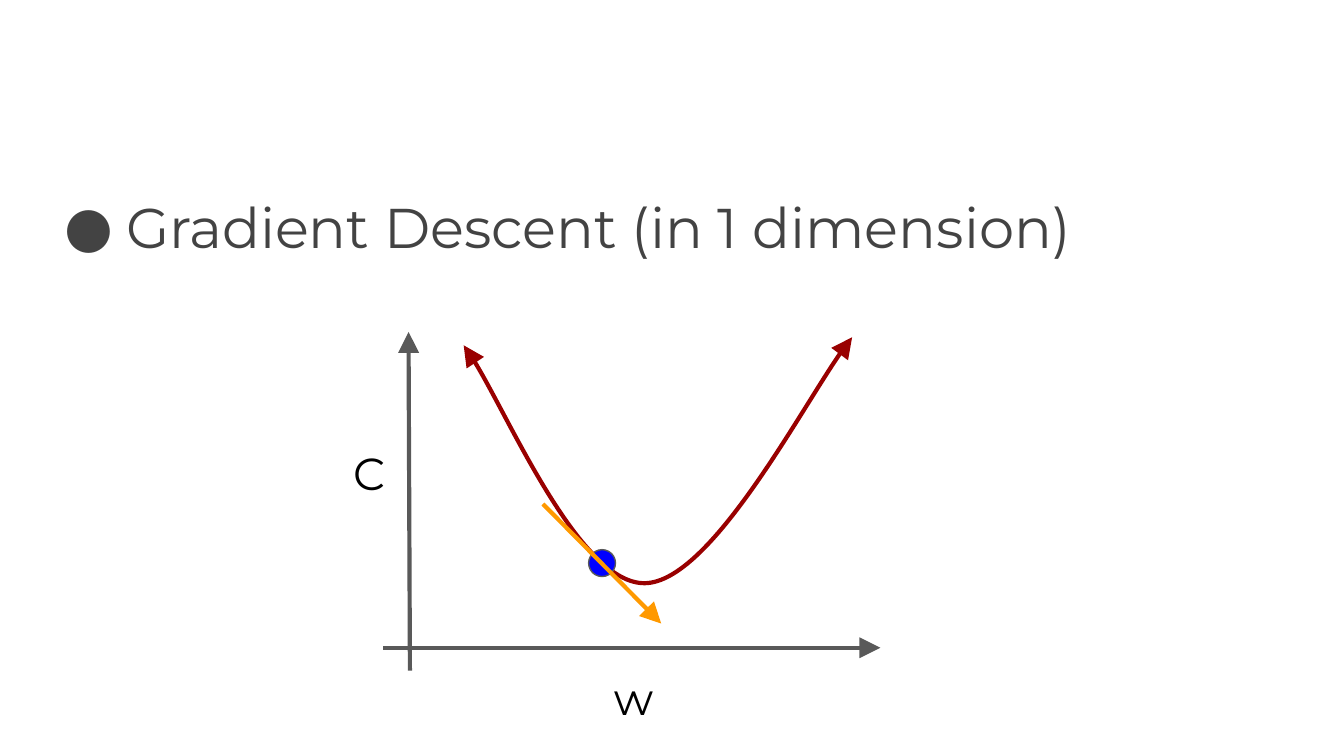
from lxml.etree import SubElement
from pptx import Presentation
from pptx.dml.color import RGBColor
from pptx.enum.shapes import MSO_CONNECTOR, MSO_SHAPE
from pptx.oxml.ns import qn
from pptx.util import Inches, Pt

# Content
FONT = "Montserrat"
GREY, RED, BLUE, ORANGE = "595959", "990000", "0000FF", "FF9900"
HEADING = ("Gradient Descent (in 1 dimension)", (0.34, 1.26, 9.32, 3.74), 30, "434343")
AXIS_LABELS = [
    ("w", (4.47, 4.89, 0.66, 0.46), 24, "000000"),
    ("C", (2.53, 3.22, 0.42, 0.46), 24, "000000"),
]
AXES = [((3.05, 4.99), (3.04, 2.47)), ((2.85, 4.82), (6.55, 4.82))]
TANGENT = ((4.04, 3.75), (4.92, 4.64))
POINT = (4.38, 4.09, 0.2, 0.2)

# Cost curve: a start, then two Bezier pieces (control, control, end)
CURVE_START = (3.45, 2.57)
CURVE_PIECES = [
    ((3.68, 2.86), (4.32, 4.35), (4.8, 4.34)),
    ((5.28, 4.33), (6.08, 2.82), (6.34, 2.51)),
]
UNITS = 1000  # curve units per inch


def color(value):
    return RGBColor.from_string(value)


def add_text(page, text, place, size, text_color):
    box = page.shapes.add_textbox(*map(Inches, place))
    frame = box.text_frame
    frame.word_wrap = True
    frame.margin_left = frame.margin_right = Inches(0.1)
    frame.margin_top = frame.margin_bottom = Inches(0.1)
    para = frame.paragraphs[0]
    span = para.add_run()
    span.text = text
    span.font.name = FONT
    span.font.size = Pt(size)
    span.font.color.rgb = color(text_color)
    return para


def add_bullet(para, bullet_color):
    props = para._p.get_or_add_pPr()
    props.set("marL", str(Inches(0.5)))
    props.set("indent", str(Inches(-0.46)))
    fill = SubElement(props, qn("a:buClr"))
    SubElement(fill, qn("a:srgbClr"), val=bullet_color)
    SubElement(props, qn("a:buFont"), typeface=FONT)
    SubElement(props, qn("a:buChar"), char="●")
    para.line_spacing = 1.15
    para.space_after = Pt(16)


def style_line(shape, line_color, ends):
    shape.line.color.rgb = color(line_color)
    shape.line.width = Pt(2.25)
    for end in ends:
        SubElement(shape.line._get_or_add_ln(), qn(f"a:{end}"),
                   type="triangle", w="lg", len="lg")


def add_arrow(page, start, end, line_color):
    arrow = page.shapes.add_connector(
        MSO_CONNECTOR.STRAIGHT, *map(Inches, start + end))
    style_line(arrow, line_color, ["tailEnd"])
    SubElement(arrow._element.spPr, qn("a:effectLst"))


def add_curve(page):
    anchors = [CURVE_START] + [piece[-1] for piece in CURVE_PIECES]
    left = min(x for x, y in anchors)
    top = min(y for x, y in anchors)
    points = [(round(x * UNITS), round(y * UNITS)) for x, y in anchors]
    builder = page.shapes.build_freeform(*points[0], scale=Inches(1) / UNITS)
    builder.add_line_segments(points[1:], close=False)
    curve = builder.convert_to_shape()
    curve.shadow.inherit = False
    curve.fill.background()
    style_line(curve, RED, ["headEnd", "tailEnd"])
    # Turn each straight segment into its Bezier piece
    segments = list(curve._element.iter(qn("a:lnTo")))
    for segment, piece in zip(segments, CURVE_PIECES):
        outline = segment.getparent()
        bezier = SubElement(outline, qn("a:cubicBezTo"))
        for x, y in piece:
            SubElement(bezier, qn("a:pt"), x=str(round((x - left) * UNITS)),
                       y=str(round((y - top) * UNITS)))
        outline.replace(segment, bezier)


def add_point(page):
    dot = page.shapes.add_shape(MSO_SHAPE.OVAL, *map(Inches, POINT))
    dot.shadow.inherit = False
    dot.fill.solid()
    dot.fill.fore_color.rgb = color(BLUE)
    dot.line.color.rgb = color(GREY)
    dot.line.width = Pt(0.75)


def main():
    deck = Presentation()
    # Widescreen, 16 to 9
    deck.slide_width, deck.slide_height = Inches(10), Inches(10 * 9 / 16)
    page = deck.slides.add_slide(deck.slide_layouts[6])

    # Heading
    add_bullet(add_text(page, *HEADING), HEADING[-1])

    # Axes and their labels
    for start, end in AXES:
        add_arrow(page, start, end, GREY)
    for label in AXIS_LABELS:
        add_text(page, *label)

    # Cost curve, current point and its gradient
    add_curve(page)
    add_point(page)
    add_arrow(page, *TANGENT, ORANGE)

    deck.save("out.pptx")


if __name__ == "__main__":
    main()
